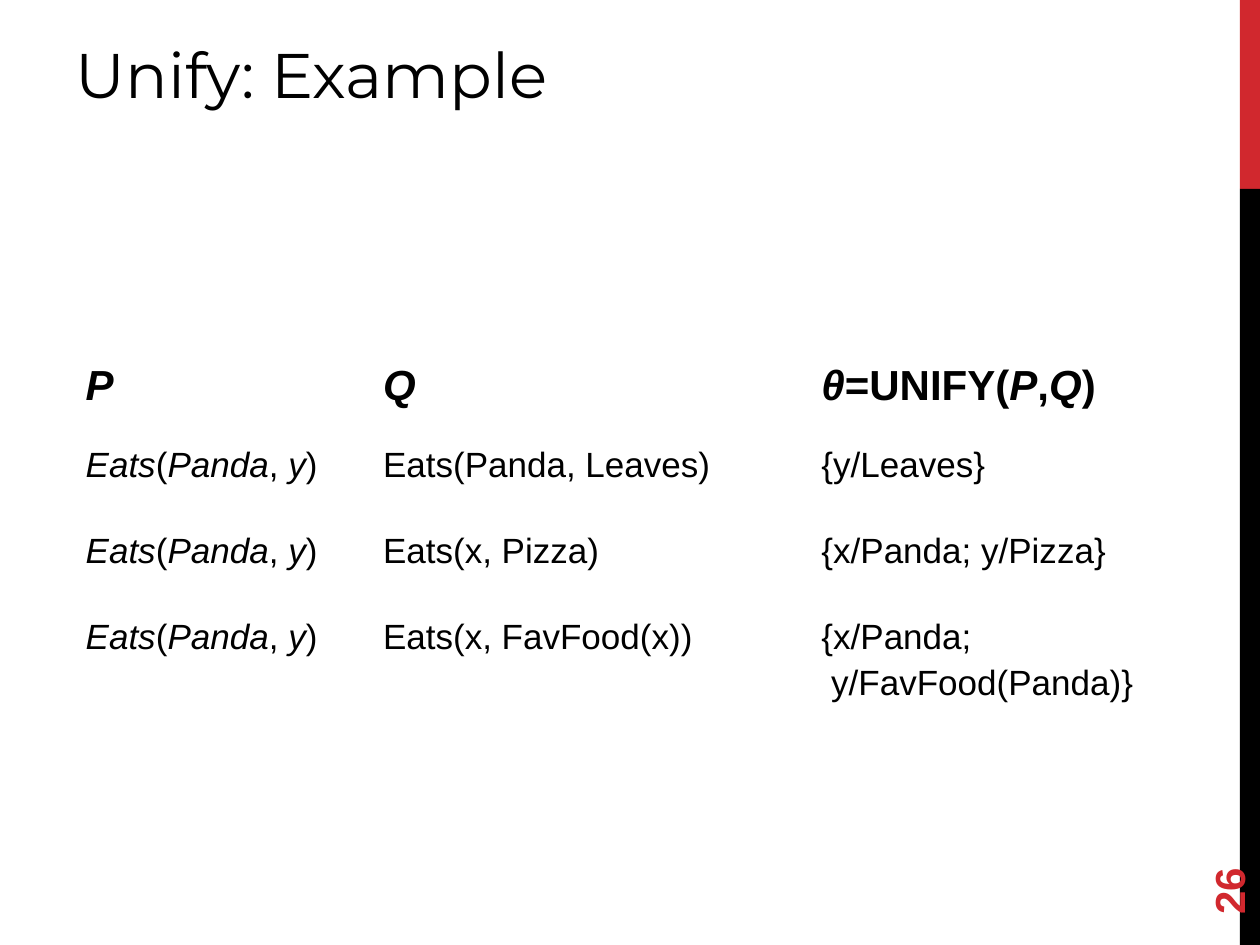
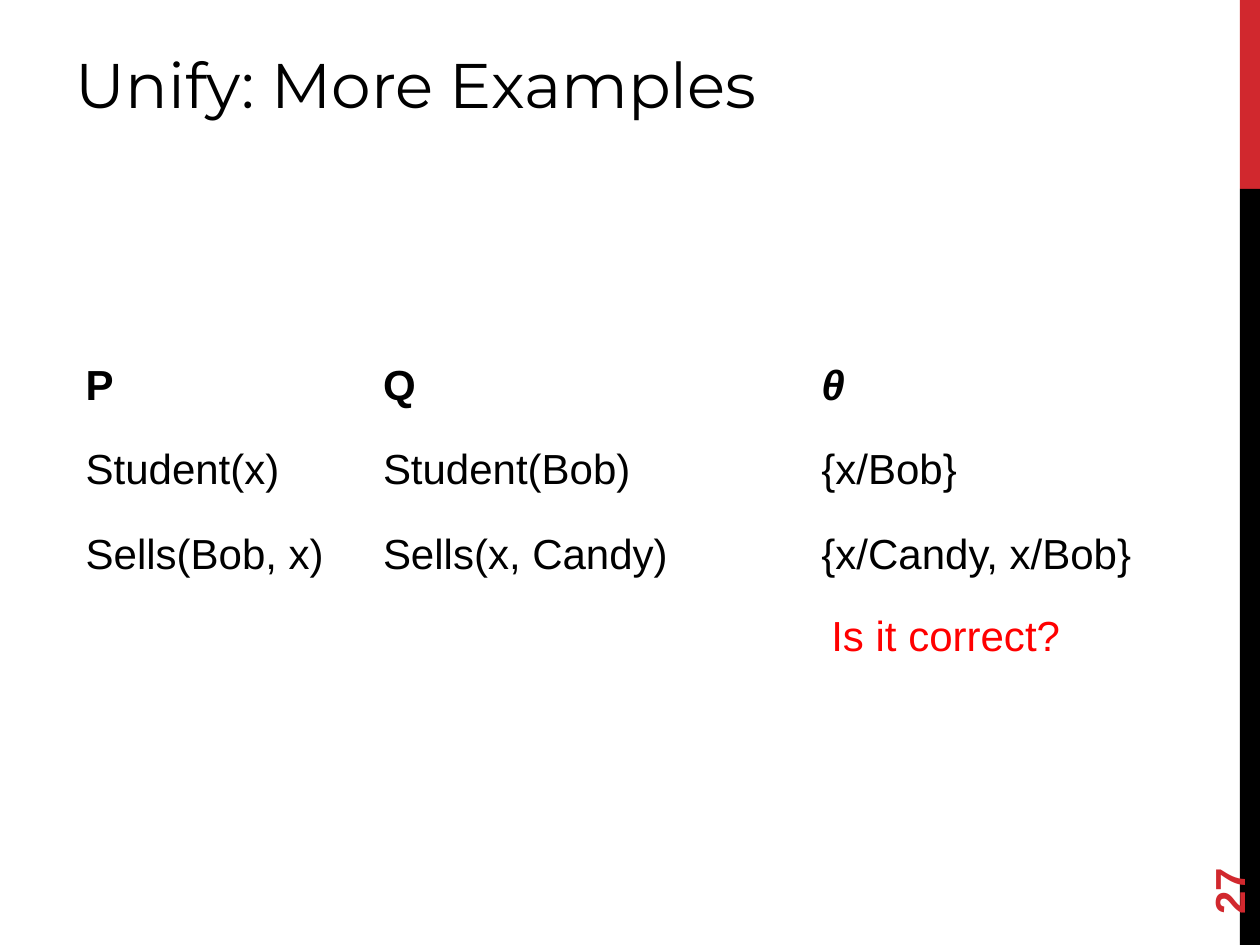
"""Build two slides with tables of unification examples."""
from dataclasses import dataclass

from pptx import Presentation
from pptx.dml.color import RGBColor
from pptx.enum.shapes import MSO_SHAPE
from pptx.enum.text import MSO_ANCHOR, MSO_AUTO_SIZE, PP_ALIGN
from pptx.presentation import Presentation as Deck
from pptx.slide import Slide
from pptx.text.text import TextFrame
from pptx.util import Emu, Pt

EMU_PER_PX = 9144
BODY_FONT, TITLE_FONT = "Arial", "Montserrat"
BLACK, CRIMSON, RED = "000000", "D1282E", "FF0000"
TITLE_ONLY = 5
COLUMN_WIDTHS = (236, 348, 275)
TABLE_LEFT, TABLE_TOP = 58, 283
PANDA_EATS = "*Eats*(*Panda*, *y*)"


@dataclass(frozen=True)
class Box:
    left: int
    top: int
    width: int
    height: int

    def emu(self) -> tuple[Emu, ...]:
        return tuple(px(n) for n in (self.left, self.top, self.width, self.height))


@dataclass(frozen=True)
class TextStyle:
    size: int
    color: str = BLACK
    bold: bool = False
    font: str = BODY_FONT
    line_spacing: float = 1.0


@dataclass(frozen=True)
class Band:
    box: Box
    color: str


@dataclass(frozen=True)
class Example:
    title: str
    title_height: int
    number: str
    body_size: int
    row_heights: tuple[int, ...]
    rows: tuple[tuple[str, str, str], ...]
    question: str = ""


TITLE = TextStyle(36, font=TITLE_FONT)
HEADING = TextStyle(24, bold=True)
PAGE_NUMBER = TextStyle(24, CRIMSON, bold=True, line_spacing=1.1)
QUESTION = TextStyle(24, RED, line_spacing=1.1)
NUMBER_BOX = Box(894, 644, 144, 40)
QUESTION_BOX = Box(650, 475, 203, 50)
BANDS = (
    Band(Box(984, 0, 16, 150), CRIMSON),
    Band(Box(984, 150, 16, 600), BLACK),
)
EXAMPLES = (
    Example("Unify: Example", 76, "26", 20, (66, 68, 68, 95), (
        ("*P*", "*Q*", "*θ*=UNIFY(*P*,*Q*)"),
        (PANDA_EATS, "Eats(Panda, Leaves)", "{y/Leaves}"),
        (PANDA_EATS, "Eats(x, Pizza)", "{x/Panda; y/Pizza}"),
        (PANDA_EATS, "Eats(x, FavFood(x))", "{x/Panda;\n y/FavFood(Panda)}"),
    )),
    Example("Unify: More Examples", 84, "27", 24, (66, 68, 95), (
        ("P", "Q", "*θ*"),
        ("Student(x)", "Student(Bob)", "{x/Bob}"),
        ("Sells(Bob, x)", "Sells(x, Candy)", "{x/Candy, x/Bob}"),
    ), "Is it correct?"),
)


def px(length: int) -> Emu:
    return Emu(length * EMU_PER_PX)


def rgb(color: str) -> RGBColor:
    return RGBColor.from_string(color)


def write(frame: TextFrame, text: str, style: TextStyle) -> None:
    """Write one paragraph a line, with italics between asterisks."""
    for index, line in enumerate(text.split("\n")):
        para = frame.add_paragraph() if index else frame.paragraphs[0]
        para.alignment = PP_ALIGN.LEFT
        para.line_spacing = style.line_spacing
        para.space_before = Pt(4 if index else 0)
        para.font.name = style.font
        para.font.size = Pt(style.size)
        para.font.bold = style.bold
        para.font.color.rgb = rgb(style.color)
        for position, part in enumerate(line.split("*")):
            if part:
                span = para.add_run()
                span.text = part
                span.font.italic = position % 2 == 1


def add_bands(deck: Deck, page: Slide) -> None:
    """Draw the side bands and move them to the slide master."""
    for band in BANDS:
        shape = page.shapes.add_shape(MSO_SHAPE.RECTANGLE, *band.box.emu())
        shape.shadow.inherit = False
        shape.fill.solid()
        shape.fill.fore_color.rgb = rgb(band.color)
        shape.line.fill.background()
        deck.slide_master.shapes.element.append(shape.element)


def add_title(page: Slide, text: str, height: int) -> None:
    title = page.shapes.title
    title.left, title.top, title.width, title.height = Box(50, 17, 867, height).emu()
    title.text_frame.auto_size = MSO_AUTO_SIZE.NONE
    title.text_frame.vertical_anchor = MSO_ANCHOR.BOTTOM
    write(title.text_frame, text, TITLE)


def add_text(page: Slide, box: Box, text: str, style: TextStyle, rotation: int = 0) -> None:
    shape = page.shapes.add_textbox(*box.emu())
    shape.rotation = rotation
    shape.text_frame.word_wrap = True
    write(shape.text_frame, text, style)


def add_example_table(page: Slide, example: Example) -> None:
    box = Box(TABLE_LEFT, TABLE_TOP, sum(COLUMN_WIDTHS), sum(example.row_heights))
    table = page.shapes.add_table(
        len(example.rows), len(COLUMN_WIDTHS), *box.emu()
    ).table
    table.first_row = table.horz_banding = False
    for column, width in zip(table.columns, COLUMN_WIDTHS):
        column.width = px(width)
    for row, height in zip(table.rows, example.row_heights):
        row.height = px(height)
    for row_index, texts in enumerate(example.rows):
        style = TextStyle(example.body_size) if row_index else HEADING
        for column_index, text in enumerate(texts):
            cell = table.cell(row_index, column_index)
            cell.fill.background()
            write(cell.text_frame, text, style)


def main() -> None:
    deck = Presentation()
    deck.slide_width, deck.slide_height = px(1000), px(750)
    for index, example in enumerate(EXAMPLES):
        page = deck.slides.add_slide(deck.slide_layouts[TITLE_ONLY])
        if index == 0:
            add_bands(deck, page)
        add_example_table(page, example)
        add_title(page, example.title, example.title_height)
        add_text(page, NUMBER_BOX, example.number, PAGE_NUMBER, rotation=270)
        if example.question:
            add_text(page, QUESTION_BOX, example.question, QUESTION)
    deck.save("out.pptx")


if __name__ == "__main__":
    main()
